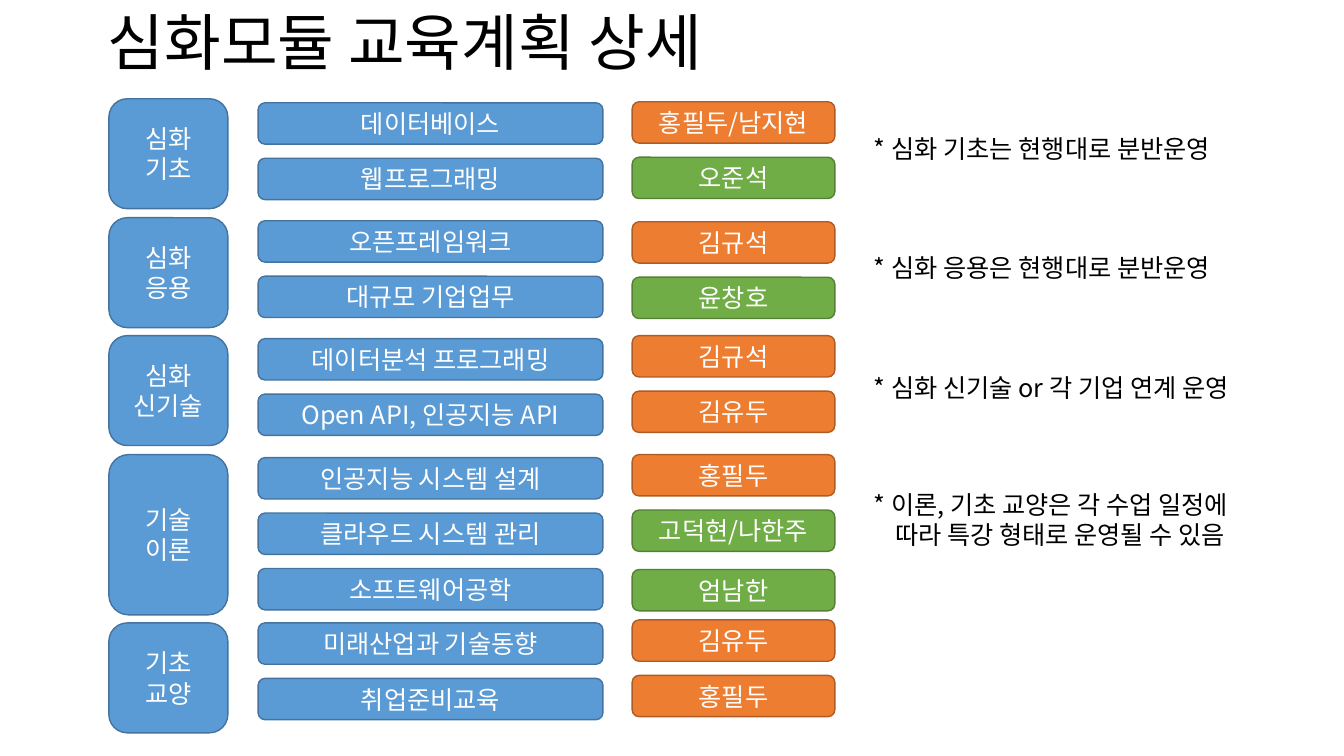
from pptx import Presentation
from pptx.dml.color import RGBColor
from pptx.enum import shapes, text
from pptx.oxml.ns import qn
from pptx.util import Inches, Pt

FONT = "Noto Sans CJK KR"
BLACK = RGBColor(0x00, 0x00, 0x00)
WHITE = RGBColor(0xFF, 0xFF, 0xFF)
BLUE = (RGBColor(0x5B, 0x9B, 0xD5), RGBColor(0x43, 0x73, 0x9E))
ORANGE = (RGBColor(0xED, 0x7D, 0x31), RGBColor(0xAF, 0x5C, 0x24))
GREEN = (RGBColor(0x70, 0xAD, 0x47), RGBColor(0x53, 0x80, 0x35))

TITLE = "심화모듈 교육계획 상세"

# Module lines, top, height, top of its first topic, topics
MODULES = [
    (["심화", "기초"], 0.98, 1.09, 1.02, ["데이터베이스", "웹프로그래밍"]),
    (["심화", "응용"], 2.16, 1.09, 2.19, ["오픈프레임워크", "대규모 기업업무"]),
    (["심화", "신기술"], 3.33, 1.09, 3.36,
     ["데이터분석 프로그래밍", "Open API, 인공지능 API"]),
    (["기술", "이론"], 4.51, 1.59, 4.54,
     ["인공지능 시스템 설계", "클라우드 시스템 관리", "소프트웨어공학"]),
    (["기초", "교양"], 6.18, 1.09, 6.18, ["미래산업과 기술동향", "취업준비교육"]),
]

# Teacher, colours, top
TEACHERS = [
    ("홍필두/남지현", ORANGE, 1.01), ("오준석", GREEN, 1.56),
    ("김규석", ORANGE, 2.2), ("윤창호", GREEN, 2.75),
    ("김규석", ORANGE, 3.33), ("김유두", ORANGE, 3.88),
    ("홍필두", ORANGE, 4.51), ("고덕현/나한주", GREEN, 5.06),
    ("엄남한", GREEN, 5.65),
    ("김유두", ORANGE, 6.15), ("홍필두", ORANGE, 6.7),
]

# Note lines, top, height
NOTES = [
    (["* 심화 기초는 현행대로 분반운영"], 1.27, 0.4),
    (["* 심화 응용은 현행대로 분반운영"], 2.45, 0.4),
    (["* 심화 신기술 or 각 기업 연계 운영"], 3.64, 0.4),
    (["* 이론, 기초 교양은 각 수업 일정에", "따라 특강 형태로 운영될 수 있음"], 4.8, 1.01),
]

MODULE_LEFT, MODULE_WIDTH = 1.08, 1.18
TOPIC_LEFT, TOPIC_WIDTH = 2.56, 3.42
TEACHER_LEFT, TEACHER_WIDTH = 6.27, 2.01
NOTE_LEFT, NOTE_WIDTH = 8.57, 4.36
BAR_HEIGHT, BAR_PITCH = 0.41, 0.55
NOTE_INDENT = 0.21


def write_text(shape, lines, size=18, color=BLACK, align=text.PP_ALIGN.LEFT,
               anchor=text.MSO_ANCHOR.TOP, line_spacing=None, indent=0):
    """Write one paragraph per line; indent applies to lines after the first."""
    frame = shape.text_frame
    frame.word_wrap = True
    frame.vertical_anchor = anchor
    for index, line in enumerate(lines):
        paragraph = frame.add_paragraph() if index else frame.paragraphs[0]
        paragraph.alignment = align
        if line_spacing:
            paragraph.line_spacing = line_spacing
        if index and indent:
            paragraph._p.get_or_add_pPr().set("marL", str(Inches(indent)))
        run = paragraph.add_run()
        run.text = line
        run.font.size = Pt(size)
        run.font.name = FONT
        run.font.color.rgb = color
        east_asian = run._r.get_or_add_rPr().makeelement(qn("a:ea"), {"typeface": FONT})
        run.font._element.find(qn("a:latin")).addnext(east_asian)


def add_box(slide, lines, left, top, width, height, colors=BLUE):
    """Add a rounded box with centred white text."""
    shape = slide.shapes.add_shape(
        shapes.MSO_SHAPE.ROUNDED_RECTANGLE,
        Inches(left), Inches(top), Inches(width), Inches(height))
    shape.shadow.inherit = False
    fill, line = colors
    shape.fill.solid()
    shape.fill.fore_color.rgb = fill
    shape.line.color.rgb = line
    shape.line.width = Pt(1)
    write_text(shape, lines, color=WHITE, align=text.PP_ALIGN.CENTER,
               anchor=text.MSO_ANCHOR.MIDDLE)


def add_label(slide, lines, left, top, width, height, **text_format):
    """Add a plain text box."""
    label = slide.shapes.add_textbox(
        Inches(left), Inches(top), Inches(width), Inches(height))
    write_text(label, lines, **text_format)


presentation = Presentation()
presentation.slide_width, presentation.slide_height = Inches(13.33), Inches(7.5)
slide = presentation.slides.add_slide(presentation.slide_layouts[6])

add_label(slide, [TITLE], 0.97, -0.27, 11.5, 1.45, size=44,
          anchor=text.MSO_ANCHOR.MIDDLE, line_spacing=0.9)

for lines, top, height, topic_top, topics in MODULES:
    add_box(slide, lines, MODULE_LEFT, top, MODULE_WIDTH, height)
    for row, topic in enumerate(topics):
        add_box(slide, [topic], TOPIC_LEFT, topic_top + row * BAR_PITCH,
                TOPIC_WIDTH, BAR_HEIGHT)

for teacher, colors, top in TEACHERS:
    add_box(slide, [teacher], TEACHER_LEFT, top, TEACHER_WIDTH, BAR_HEIGHT, colors)

for lines, top, height in NOTES:
    add_label(slide, lines, NOTE_LEFT, top, NOTE_WIDTH, height, indent=NOTE_INDENT)

presentation.save("out.pptx")
